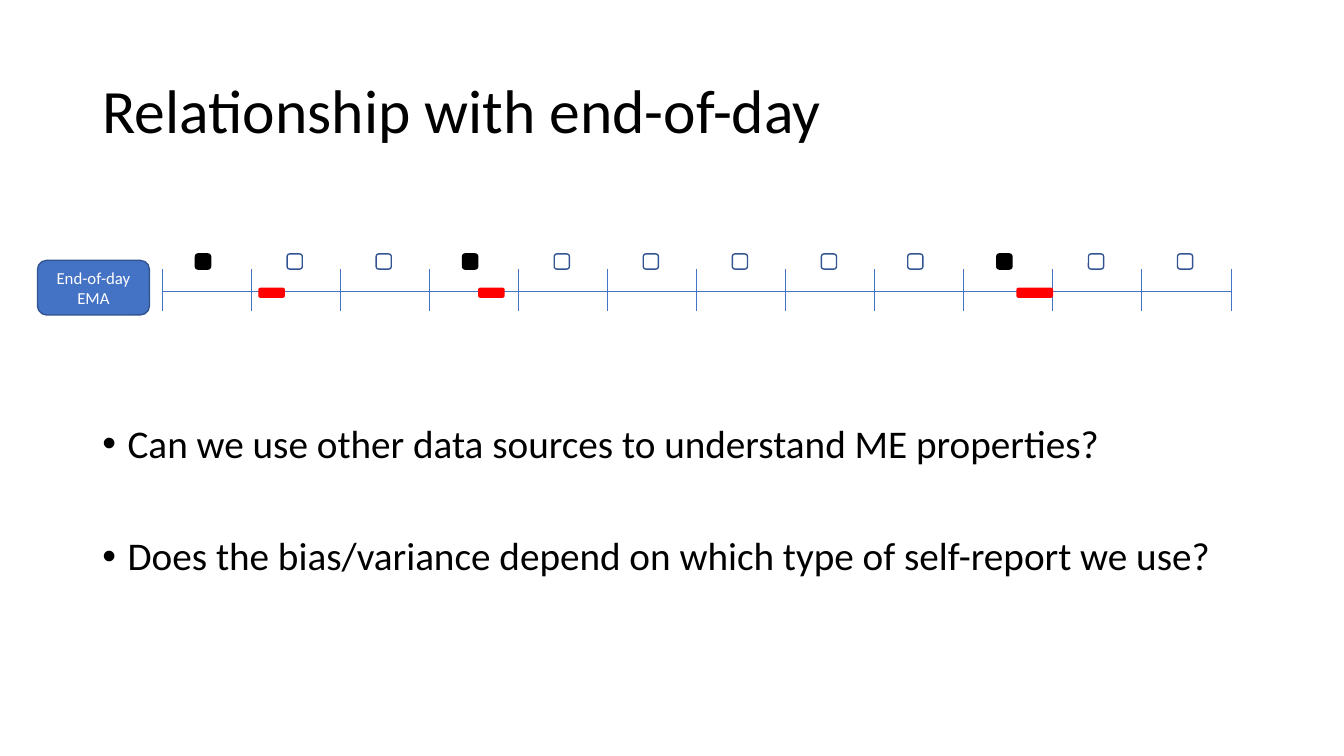
import pptx
import pptx.util
import pptx.dml.color
import pptx.enum.shapes
import pptx.enum.text
import pptx.oxml

Pt = pptx.util.Pt
ALIGN = pptx.enum.text.PP_ALIGN
ANCHOR = pptx.enum.text.MSO_ANCHOR

BLUE, DARK_BLUE, RED = "4472C4", "325491", "FF0000"
BLACK, WHITE = "000000", "FFFFFF"

DAYS = 12
AXIS_LEFT, AXIS_Y, DAY_WIDTH = 116, 208, 63.6
TICK_TOP, TICK_BOTTOM = 192.2, 222.5
MARK_TOP, MARK_SIZE = 181.4, 10.8
REPORTED_DAYS = (0, 3, 9)
EARLY_DAYS = REPORTED_DAYS + (8,)
EPISODES = ((185, 18), (342, 18), (726.5, 25.2))


def color(value):
    return pptx.dml.color.RGBColor.from_string(value)


def set_values(target, values):
    for name, value in values.items():
        setattr(target, name, value)


def write(para, text, size, font_color, para_format):
    set_values(para, para_format)
    span = para.add_run()
    span.text = text
    set_values(span.font, {"size": Pt(size), "name": "Calibri"})
    span.font.color.rgb = color(font_color)


def place(box, left, top, width, height, anchor):
    set_values(box, {"left": Pt(left), "top": Pt(top),
                     "width": Pt(width), "height": Pt(height)})
    set_values(box.text_frame, {"word_wrap": True, "vertical_anchor": anchor,
                                "auto_size": pptx.enum.text.MSO_AUTO_SIZE.NONE})


def add_title(page, text):
    title = page.shapes.title
    place(title, 66, 28.8, 828, 104.4, ANCHOR.MIDDLE)
    write(title.text_frame.paragraphs[0], text, 44, BLACK,
          {"alignment": ALIGN.LEFT, "line_spacing": 0.9})


def add_bullets(page, lines):
    body = page.placeholders[1]
    place(body, 66, 299.5, 828, 141.8, ANCHOR.TOP)
    frame = body.text_frame
    for number, text in enumerate(lines):
        para = frame.add_paragraph() if number else frame.paragraphs[0]
        write(para, text, 28, BLACK,
              {"line_spacing": 0.9, "space_before": Pt(50 if number else 10)})
        properties = para._p.get_or_add_pPr()
        properties.set("marL", str(Pt(18)))
        properties.set("indent", str(-Pt(18)))


def add_rounded(page, left, top, width, height, fill, outline):
    box = page.shapes.add_shape(
        pptx.enum.shapes.MSO_SHAPE.ROUNDED_RECTANGLE,
        Pt(left), Pt(top), Pt(width), Pt(height))
    box.shadow.inherit = False
    box.fill.solid()
    box.fill.fore_color.rgb = color(fill)
    box.line.color.rgb = color(outline)
    box.line.width = Pt(1)
    return box


def add_line(page, left, top, right, bottom):
    line = page.shapes.add_connector(
        pptx.enum.shapes.MSO_CONNECTOR.STRAIGHT,
        Pt(left), Pt(top), Pt(right), Pt(bottom))
    line.line.color.rgb = color(BLUE)
    line.line.width = Pt(0.5)
    line._element.spPr.append(pptx.oxml.parse_xml(
        '<a:effectLst xmlns:a="http://schemas.openxmlformats.org/drawingml/2006/main"/>'))


def add_label(page, text):
    label = add_rounded(page, 26.8, 186, 80, 39, BLUE, DARK_BLUE)
    label.text_frame.word_wrap = True
    label.text_frame.vertical_anchor = ANCHOR.MIDDLE
    write(label.text_frame.paragraphs[0], text, 12, WHITE,
          {"alignment": ALIGN.CENTER})


def add_timeline(page):
    add_line(page, AXIS_LEFT, AXIS_Y, AXIS_LEFT + DAYS * DAY_WIDTH, AXIS_Y)
    for day in range(DAYS + 1):
        tick = AXIS_LEFT + day * DAY_WIDTH
        add_line(page, tick, TICK_TOP, tick, TICK_BOTTOM)
    for left, width in EPISODES:
        add_rounded(page, left, 206, width, 6.3, RED, RED)
    for day in range(DAYS):
        offset = 23.6 if day in EARLY_DAYS else 25.5
        fill, outline = (BLACK, BLACK) if day in REPORTED_DAYS else (WHITE, DARK_BLUE)
        add_rounded(page, AXIS_LEFT + day * DAY_WIDTH + offset, MARK_TOP,
                    MARK_SIZE, MARK_SIZE, fill, outline)


def main():
    deck = pptx.Presentation()
    set_values(deck, {"slide_width": Pt(960), "slide_height": Pt(540)})
    page = deck.slides.add_slide(deck.slide_layouts[1])
    add_title(page, "Relationship with end-of-day")
    add_label(page, "End-of-day EMA")
    add_timeline(page)
    add_bullets(page, (
        "Can we use other data sources to understand ME properties?",
        "Does the bias/variance depend on which type of self-report we use?",
    ))
    deck.save("out.pptx")


if __name__ == "__main__":
    main()
